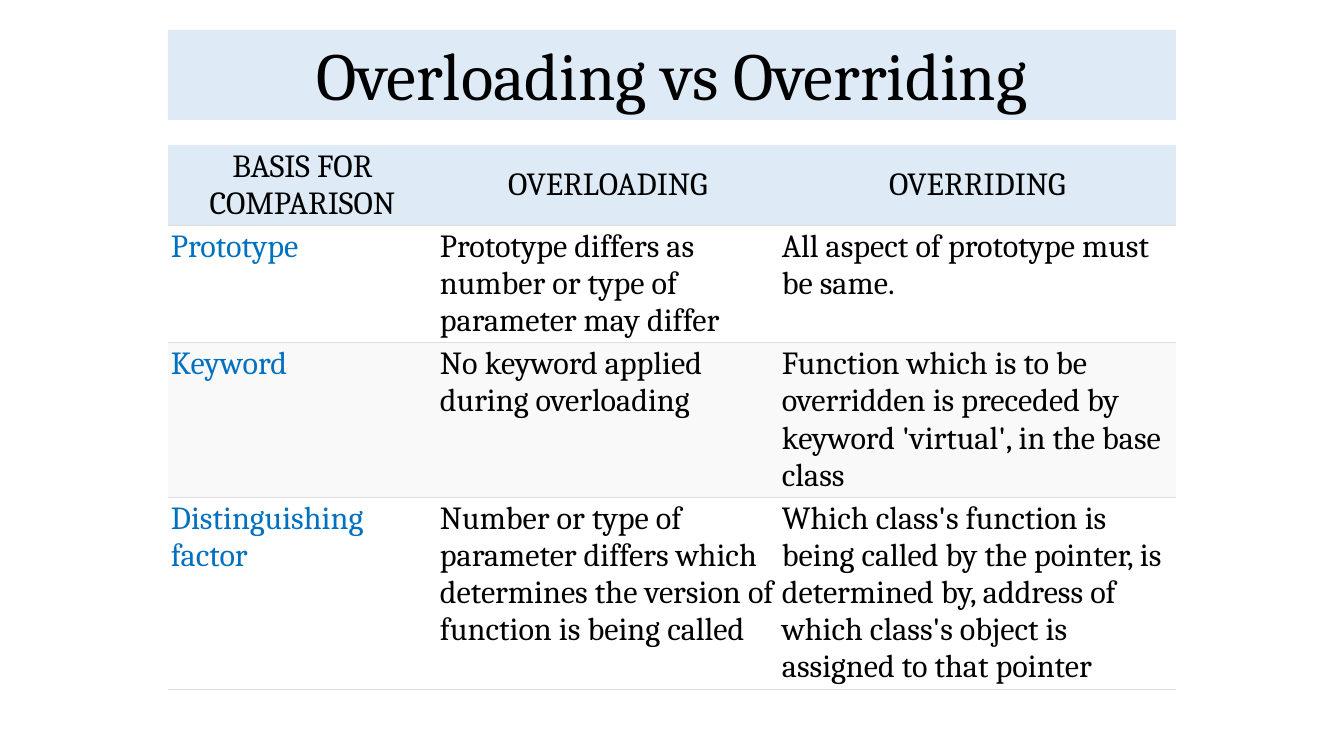
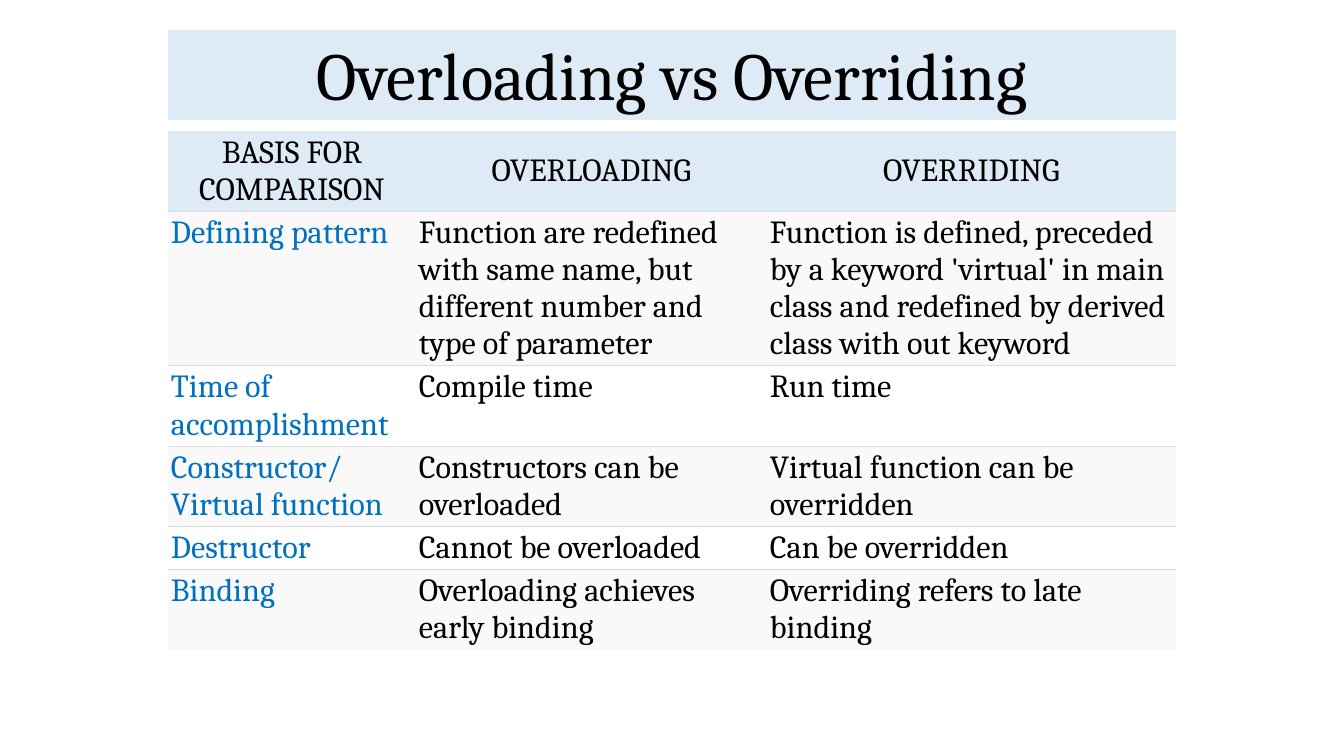
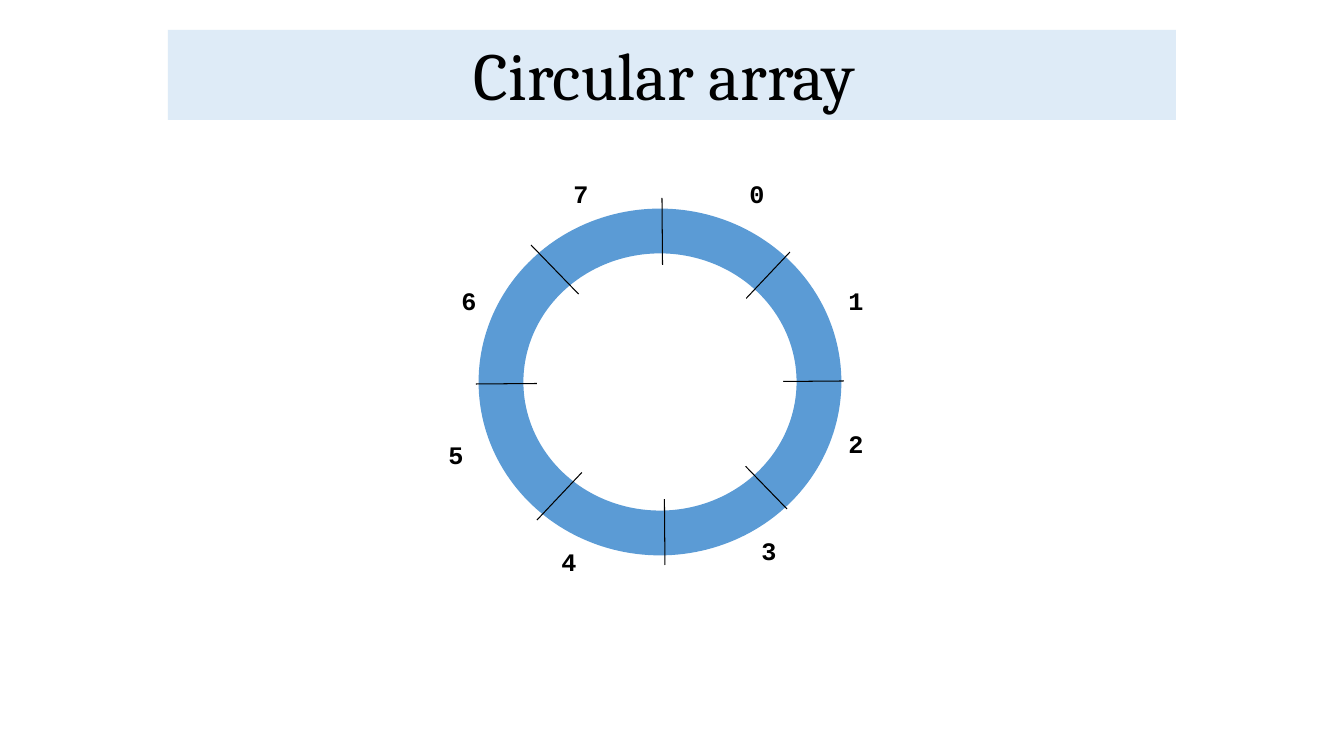
from dataclasses import dataclass
from typing import NamedTuple

from lxml.etree import SubElement
from pptx import Presentation
from pptx.dml.color import RGBColor
from pptx.enum.shapes import MSO_CONNECTOR, MSO_SHAPE
from pptx.enum.text import MSO_ANCHOR, PP_ALIGN
from pptx.oxml.ns import qn
from pptx.util import Pt


@dataclass(frozen=True)
class Theme:
    """Colours, fonts and type sizes shared by all slides."""
    band: str = "DEEBF7"
    ink: str = "000000"
    accent: str = "0070C0"
    ring: str = "5B9BD5"
    rule: str = "DDDDDD"
    paper: str = "FFFFFF"
    stripe: str = "F9F9F9"
    serif: str = "Cambria"
    mono: str = "Courier New"
    title_size: int = 48
    table_size: int = 23
    label_size: int = 18
    rule_width: float = 0.75
    ring_width: int = 32


class Box(NamedTuple):
    """A region in pixels."""
    left: int
    top: int
    width: int
    height: int


THEME = Theme()
TITLE_BOX = Box(168, 30, 1008, 90)
CELL_INSET = 3
LINE_HEIGHT = 37
HEADINGS = ("BASIS FOR COMPARISON", "OVERLOADING", "OVERRIDING")


def px(length):
    """Turn pixels into EMU."""
    return round(length * 914400 / 100.8)


def colour(value):
    """Turn a hex string into a colour."""
    return RGBColor.from_string(value)


def style_text(frame, font, size, ink, align=PP_ALIGN.LEFT, bold=False):
    """Set one font and alignment on every paragraph of a frame."""
    for para in frame.paragraphs:
        para.alignment = align
        para.font.name = font
        para.font.size = Pt(size)
        para.font.bold = bold
        para.font.color.rgb = colour(ink)


def add_title(page, text):
    """Place the title band at the top of a page."""
    band = page.shapes.add_shape(MSO_SHAPE.RECTANGLE, *map(px, TITLE_BOX))
    band.shadow.inherit = False
    band.fill.solid()
    band.fill.fore_color.rgb = colour(THEME.band)
    band.line.fill.background()
    frame = band.text_frame
    frame.word_wrap = True
    frame.vertical_anchor = MSO_ANCHOR.BOTTOM
    frame.text = text
    frame.paragraphs[0].line_spacing = 0.9
    style_text(frame, THEME.serif, THEME.title_size, THEME.ink, PP_ALIGN.CENTER)


def set_borders(cell, ruled_sides):
    """Rule the named sides of a cell and clear the others."""
    properties = cell._tc.get_or_add_tcPr()
    for side in "LRTB":
        line = SubElement(properties, qn(f"a:ln{side}"), w=str(Pt(THEME.rule_width)))
        if side in ruled_sides:
            fill = SubElement(line, qn("a:solidFill"))
            SubElement(fill, qn("a:srgbClr"), val=THEME.rule)
        else:
            SubElement(line, qn("a:noFill"))


def fill_cell(cell, text, fill, ink, ruled_sides, heading):
    """Write and format one table cell."""
    cell.margin_left = cell.margin_right = px(CELL_INSET)
    cell.margin_top = cell.margin_bottom = px(CELL_INSET)
    cell.vertical_anchor = MSO_ANCHOR.MIDDLE if heading else MSO_ANCHOR.TOP
    set_borders(cell, ruled_sides)
    cell.fill.solid()
    cell.fill.fore_color.rgb = colour(fill)
    cell.text = text
    align = PP_ALIGN.CENTER if heading else PP_ALIGN.LEFT
    style_text(cell.text_frame, THEME.serif, THEME.table_size, ink, align)


def add_comparison(page, top, widths, rows, stripes, closed):
    """Place a comparison table; each row is its line count and its texts."""
    rows = [(2, HEADINGS), *rows]
    heights = [lines * LINE_HEIGHT + 2 * CELL_INSET for lines, _ in rows]
    box = Box(TITLE_BOX.left, top, sum(widths), sum(heights))
    table = page.shapes.add_table(len(rows), len(widths), *map(px, box)).table
    for column, width in zip(table.columns, widths):
        column.width = px(width)
    for index, (_, texts) in enumerate(rows):
        table.rows[index].height = px(heights[index])
        heading = index == 0
        fill = THEME.band if heading else stripes[(index - 1) % 2]
        sides = "" if heading else "T"
        if closed or index < len(rows) - 1:
            sides += "B"
        for position, text in enumerate(texts):
            ink = THEME.ink if heading or position else THEME.accent
            fill_cell(table.cell(index, position), text, fill, ink, sides, heading)


def comparison_slide(deck, **table):
    """Add a slide that compares overloading with overriding."""
    page = deck.slides.add_slide(deck.slide_layouts[6])
    add_title(page, "Overloading vs Overriding")
    add_comparison(page, **table)


def add_ellipse(group, box):
    """Place an ellipse without a shadow."""
    ellipse = group.shapes.add_shape(MSO_SHAPE.OVAL, *map(px, box))
    ellipse.shadow.inherit = False
    return ellipse


def add_divider(group, start, end):
    """Draw a thin line across the ring."""
    divider = group.shapes.add_connector(MSO_CONNECTOR.STRAIGHT, *map(px, start + end))
    divider.line.color.rgb = colour(THEME.ink)
    divider.line.width = Pt(THEME.rule_width)
    SubElement(divider._element.spPr, qn("a:effectLst"))


def add_index(group, box, text):
    """Place the number of an array slot."""
    label = group.shapes.add_textbox(*map(px, box))
    frame = label.text_frame
    frame.word_wrap = True
    frame.margin_top = px(9)
    frame.text = text
    style_text(frame, THEME.mono, THEME.label_size, THEME.ink, PP_ALIGN.CENTER, bold=True)


def add_ring(page, left, top):
    """Place the divided ring and its slot numbers."""
    group = page.shapes.add_group_shape()
    outer = add_ellipse(group, Box(left + 85, top + 62, 318, 302))
    outer.fill.background()
    outer.line.color.rgb = colour(THEME.ring)
    outer.line.width = Pt(THEME.ring_width)
    dividers = (
        (246, 29, 249, 396), (60, 215, 428, 212),
        (115, 76, 371, 340), (374, 83, 121, 351),
    )
    for x1, y1, x2, y2 in dividers:
        add_divider(group, (left + x1, top + y1), (left + x2, top + y2))
    hole = add_ellipse(group, Box(left + 121, top + 96, 246, 234))
    hole.fill.solid()
    hole.fill.fore_color.rgb = colour(THEME.paper)
    hole.line.fill.background()
    index_places = (
        (301, 0), (400, 107), (400, 250), (313, 357),
        (113, 368), (0, 261), (13, 107), (125, 0),
    )
    for index, (x, y) in enumerate(index_places):
        add_index(group, Box(left + x, top + y, 80, 60), str(index))


def ring_slide(deck):
    """Add the slide that shows a circular array."""
    page = deck.slides.add_slide(deck.slide_layouts[6])
    add_title(page, "Circular array ")
    add_ring(page, left=416, top=169)


def main():
    """Build and save the deck."""
    deck = Presentation()
    deck.slide_width, deck.slide_height = px(1344), px(756)
    comparison_slide(
        deck, top=145, widths=(269, 342, 397), closed=True,
        stripes=(THEME.paper, THEME.stripe),
        rows=[
            (3, ("Prototype",
                 "Prototype differs as number or type of parameter may differ",
                 "All aspect of prototype must be same.")),
            (4, ("Keyword",
                 "No keyword applied during overloading",
                 "Function which is to be overridden is preceded by keyword "
                 "'virtual', in the base class")),
            (5, ("Distinguishing factor",
                 "Number or type of parameter differs which determines the "
                 "version of function is being called",
                 "Which class's function is being called by the pointer, is "
                 "determined by, address of which class's object is assigned "
                 "to that pointer")),
        ])
    comparison_slide(
        deck, top=131, widths=(248, 351, 409), closed=False,
        stripes=(THEME.stripe, THEME.paper),
        rows=[
            (4, ("Defining pattern",
                 "Function are redefined with same name, but different number "
                 "and type of parameter",
                 "Function is defined, preceded by a keyword 'virtual' in main "
                 "class and redefined by derived class with out keyword")),
            (2, ("Time of accomplishment", "Compile time", "Run time")),
            (2, ("Constructor/\nVirtual function",
                 "Constructors can be overloaded",
                 "Virtual function can be overridden")),
            (1, ("Destructor", "Cannot be overloaded", "Can be overridden")),
            (2, ("Binding",
                 "Overloading achieves early binding",
                 "Overriding refers to late binding")),
        ])
    ring_slide(deck)
    deck.save("out.pptx")


main()
